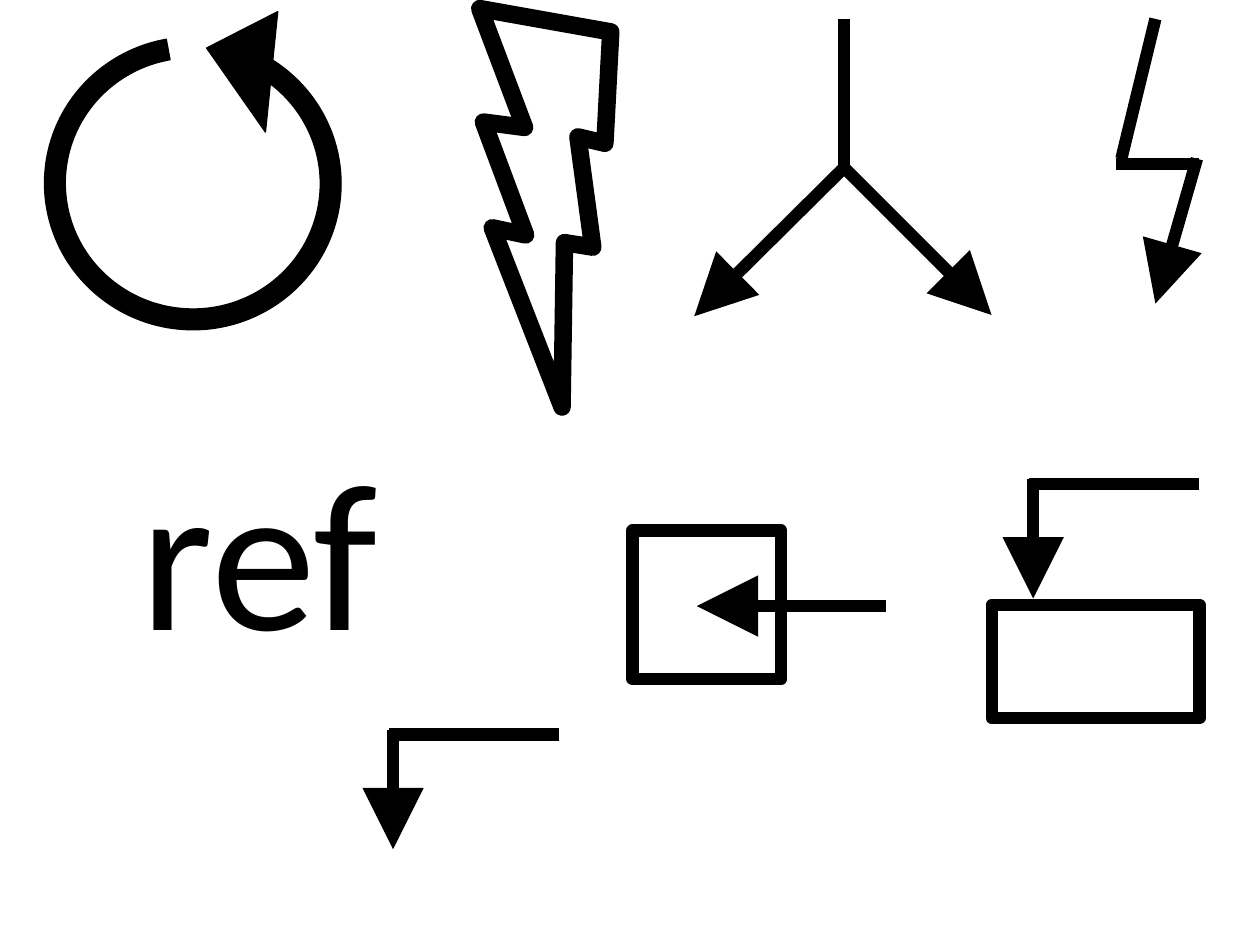
from pptx import Presentation
from pptx.dml.color import RGBColor
from pptx.enum.shapes import MSO_CONNECTOR as Link, MSO_SHAPE as Preset
from pptx.enum.text import MSO_AUTO_SIZE as AutoSize
from pptx.oxml.ns import qn
from pptx.util import Inches, Pt
from lxml.etree import SubElement

BLACK = RGBColor(0, 0, 0)
STROKE = 7


def style_line(shape, width):
    """Give a shape or connector a black line and return its XML element."""
    shape.line.color.rgb = BLACK
    shape.line.width = Pt(width)
    return shape.line._get_or_add_ln()


def add_outline(shapes, preset, box, width=STROKE, rotation=0):
    """Add an unfilled preset shape with rounded corners on its line."""
    shape = shapes.add_shape(preset, *map(Inches, box))
    shape.shadow.inherit = False
    shape.fill.background()
    shape.rotation = rotation
    SubElement(style_line(shape, width), qn("a:round"))
    return shape


def add_line(shapes, start, end, arrow=False):
    """Add a straight line, with a large arrowhead at its end if asked."""
    line = shapes.add_connector(Link.STRAIGHT, *map(Inches, (*start, *end)))
    outline = style_line(line, STROKE)
    if arrow:
        SubElement(outline, qn("a:tailEnd"), type="triangle", w="lg", len="lg")
    SubElement(line._element.spPr, qn("a:effectLst"))


def add_text(page, text, box, size, font="Calibri", color=BLACK):
    """Add one unwrapped line of text."""
    label = page.shapes.add_textbox(*map(Inches, box))
    frame = label.text_frame
    frame.word_wrap = False
    frame.auto_size = AutoSize.SHAPE_TO_FIT_TEXT
    span = frame.paragraphs[0].add_run()
    span.text = text
    span.font.size = Pt(size)
    span.font.name = font
    span.font.color.rgb = color


def add_loop(page, box):
    """Draw the filled circular arrow."""
    loop = add_outline(page.shapes, Preset.CIRCULAR_ARROW, box, 0.75, 94)
    loop.fill.solid()
    loop.fill.fore_color.rgb = BLACK
    loop._element.spPr.find(qn("a:xfrm")).set("flipH", "1")
    for index, value in enumerate((0.053, 17.652, 197.248, 8.648, 0.154)):
        loop.adjustments[index] = value


def add_zigzag(page, left, top):
    """Draw the bent arrow that goes down in three strokes."""
    shapes = page.shapes.add_group_shape().shapes
    add_line(shapes, (left + 0.31, top), (left + 0.04, top + 1.11))
    add_line(shapes, (left, top + 1.15), (left + 0.66, top + 1.15))
    add_line(shapes, (left + 0.64, top + 1.11), (left + 0.31, top + 2.26), arrow=True)


def add_corner_arrow(page, left, top, target=None):
    """Draw an arrow that turns down, with an optional target box."""
    shapes = page.shapes.add_group_shape().shapes
    if target:
        add_outline(shapes, Preset.RECTANGLE, target)
    add_line(shapes, (left + 1.35, top), (left, top))
    add_line(shapes, (left + 0.03, top - 0.04), (left + 0.03, top + 0.91), arrow=True)


def add_fork(page, left, top):
    """Draw a stem that splits into two arrows."""
    shapes = page.shapes.add_group_shape().shapes
    joint = (left + 1.19, top + 1.18)
    add_line(shapes, (joint[0], top), joint)
    for tip in ((left + 2.36, top + 2.35), (left, top + 2.36)):
        add_line(shapes, joint, tip, arrow=True)


def add_entry(page, left, top, side=1.18):
    """Draw a square with an arrow that enters from the right."""
    shapes = page.shapes.add_group_shape().shapes
    add_outline(shapes, Preset.RECTANGLE, (left, top, side, side))
    add_line(shapes, (left + 2.01, top + 0.6), (left + 0.51, top + 0.6), arrow=True)


def build_deck():
    """Build the page of symbols and save it."""
    deck = Presentation()
    deck.slide_width, deck.slide_height = Inches(10), Inches(7.5)
    page = deck.slides.add_slide(deck.slide_layouts[6])
    add_outline(page.shapes, Preset.LIGHTNING_BOLT, (3.07, 0.15, 2.41, 2.62), 10, 36.6)
    add_loop(page, (-0.03, -0.12, 3.12, 3.15))
    add_text(page, "ref", (1.02, 3.29, 2.19, 2.12), size=120)
    add_zigzag(page, 8.86, 0.15)
    add_corner_arrow(page, 8.17, 3.84, target=(7.87, 4.8, 1.65, 0.9))
    add_fork(page, 5.51, 0.15)
    add_entry(page, 5.02, 4.21)
    add_corner_arrow(page, 3.09, 5.83)
    deck.save("out.pptx")


build_deck()
